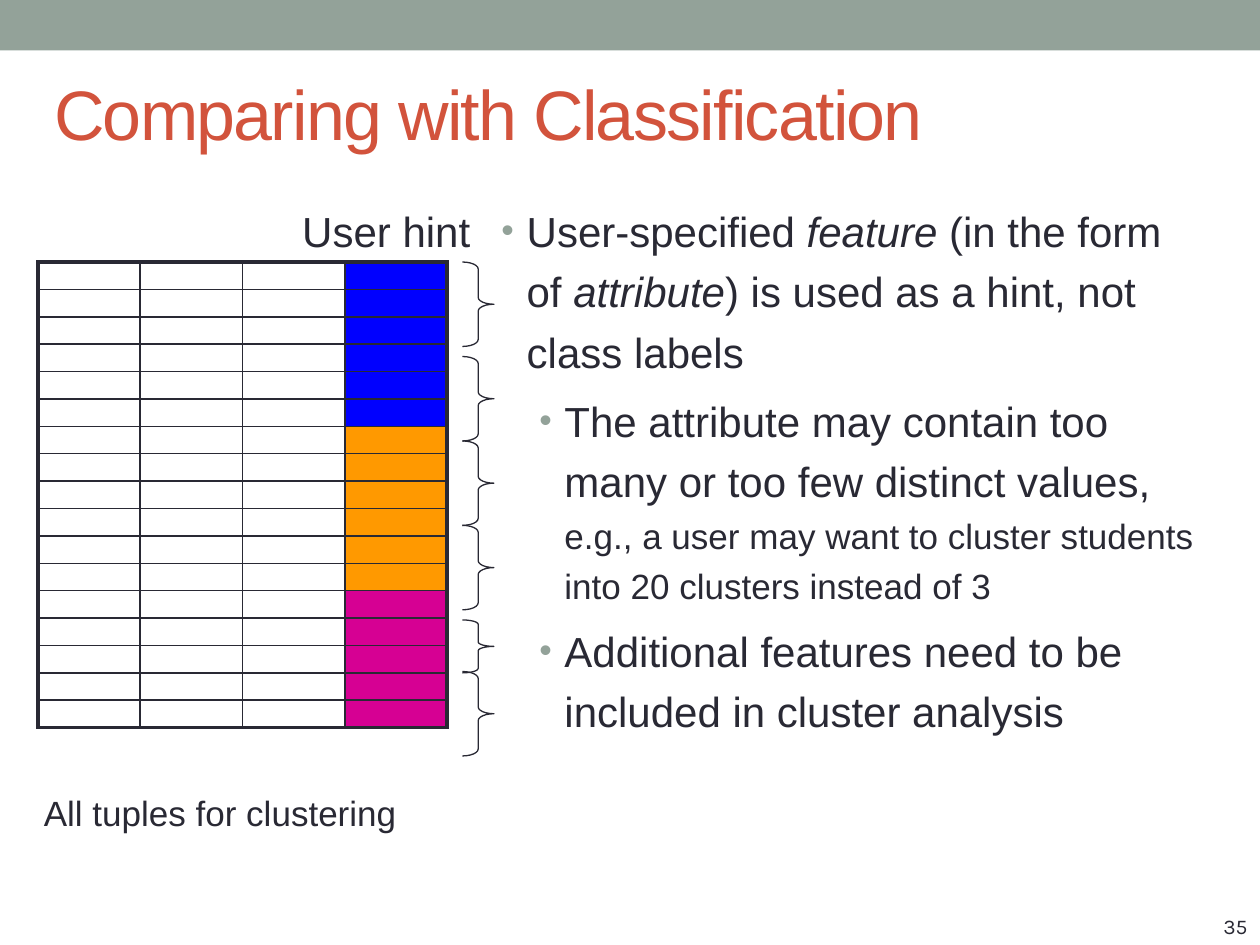
from lxml import etree
from pptx import Presentation
from pptx import util as u
from pptx.dml.color import RGBColor
from pptx.enum import shapes, text
from pptx.oxml import ns

HUES = {
    "ink": "292934", "sage": "93A299", "rust": "D2533C",
    "blue": "0000FF", "gold": "FF9900", "pink": "D60093",
}


class Deck:
    """Holds the style and the current slide, and draws each kind of element."""

    def __init__(self, face="Arial"):
        self.face = face
        self.prs = Presentation()
        self.prs.slide_width, self.prs.slide_height = u.Inches(10), u.Inches(7.5)
        self.slide = self.prs.slides.add_slide(self.prs.slide_layouts[1])

    def hue(self, name):
        return RGBColor.from_string(HUES[name])

    def box(self, at):
        return [u.Inches(n) for n in at]

    def sub(self, node, tag, **attrs):
        return etree.SubElement(node, ns.qn(tag), **attrs)

    def font(self, font, size, hue="ink", face=None):
        font.name, font.size = face or self.face, u.Pt(size)
        font.color.rgb = self.hue(hue)

    def place(self, item, at):
        item.left, item.top, item.width, item.height = self.box(at)
        frame = item.text_frame
        frame.word_wrap, frame.auto_size = True, text.MSO_AUTO_SIZE.NONE
        return frame

    def title(self, words, at):
        frame = self.place(self.slide.shapes.title, at)
        frame.vertical_anchor = text.MSO_ANCHOR.MIDDLE
        para = frame.paragraphs[0]
        para.text, para.alignment = words, text.PP_ALIGN.LEFT
        self.font(para.font, 40, "rust")
        para.runs[0]._r.get_or_add_rPr().set("spc", "-100")

    def body(self, items, at):
        frame = self.place(self.slide.placeholders[1], at)
        for n, (level, runs) in enumerate(items):
            para = frame.add_paragraph() if n else frame.paragraphs[0]
            para.level, para.line_spacing = level, 1.2
            para.space_before = u.Pt(4.8)
            props = para._p.get_or_add_pPr()
            props.set("marL", str(u.Inches(0.2 + 0.3 * level)))
            props.set("indent", str(u.Inches(-0.2)))
            tint = self.sub(props, "a:buClr")
            self.sub(tint, "a:srgbClr", val=HUES["sage"])
            self.sub(props, "a:buSzPct", val="85000")
            self.sub(props, "a:buFont", typeface=self.face)
            self.sub(props, "a:buChar", char="•")
            for words, size, slant in runs:
                run = para.add_run()
                run.text = words
                self.font(run.font, size)
                run.font.italic = slant

    def label(self, words, at, size, face=None, align=text.PP_ALIGN.LEFT,
              anchor=text.MSO_ANCHOR.TOP):
        frame = self.place(self.slide.shapes.add_textbox(*self.box(at)), at)
        frame.vertical_anchor = anchor
        para = frame.paragraphs[0]
        para.text, para.alignment = words, align
        self.font(para.font, size, face=face)

    def band(self, at, hue):
        item = self.slide.shapes.add_shape(shapes.MSO_SHAPE.RECTANGLE, *self.box(at))
        item.shadow.inherit = False
        item.fill.solid()
        item.fill.fore_color.rgb = self.hue(hue)
        item.line.fill.background()

    def brace(self, at, bend):
        item = self.slide.shapes.add_shape(shapes.MSO_SHAPE.RIGHT_BRACE, *self.box(at))
        item.shadow.inherit = False
        item.adjustments[0] = bend
        item.fill.background()
        item.line.color.rgb = self.hue("ink")
        item.line.width = u.Pt(0.75)

    def edge(self, cell, side, width):
        line = self.sub(cell._tc.get_or_add_tcPr(), "a:ln" + side, w=str(u.Pt(width)))
        fill = self.sub(line, "a:solidFill")
        self.sub(fill, "a:srgbClr", val=HUES["ink"])

    def grid(self, hues, cols, at):
        rows = len(hues)
        table = self.slide.shapes.add_table(rows, cols, *self.box(at)).table
        table.first_row = table.horz_banding = False
        for col in table.columns:
            col.width = u.Inches(at[2] / cols)
        for r, hue in enumerate(hues):
            table.rows[r].height = u.Inches(at[3] / rows)
            for c in range(cols):
                cell = table.cell(r, c)
                cell.margin_top = cell.margin_bottom = 0
                self.sub(cell.text_frame.paragraphs[0]._p, "a:endParaRPr", sz="800")
                rims = {"L": c == 0, "R": c == cols - 1, "T": r == 0, "B": r == rows - 1}
                for side, rim in rims.items():
                    self.edge(cell, side, 2.25 if rim else 1)
                if c == cols - 1:
                    cell.fill.solid()
                    cell.fill.fore_color.rgb = self.hue(hue)
                else:
                    cell.fill.background()


def main():
    deck = Deck()
    deck.band((0, 0, 10, 0.4), "sage")
    deck.label("35", (7.92, 7.08, 2.08, 0.42), 12, "Karla",
               text.PP_ALIGN.RIGHT, text.MSO_ANCHOR.BOTTOM)
    deck.title("Comparing with Classification", (0.33, 0.35, 9, 1.08))
    deck.body([
        (0, [("User-specified ", 24, False), ("feature ", 24, True),
             ("(in the form of ", 24, False), ("attribute", 24, True),
             (") is used as a hint, not class labels", 24, False)]),
        (1, [("The attribute may contain too many or too few distinct values, ", 24, False),
             ("e.g., a user may want to cluster students into 20 clusters instead of 3",
              20, False)]),
        (1, [("Additional features need to be included in cluster analysis", 24, False)]),
    ], (3.88, 1.5, 5.79, 5.58))
    deck.grid(["blue"] * 6 + ["gold"] * 6 + ["pink"] * 5, 4, (0.3, 2.08, 3.25, 3.7))
    deck.label("All tuples for clustering", (0.25, 6.23, 3.33, 0.43), 20)
    deck.label("User hint", (2.3, 1.58, 1.75, 0.5), 24)
    for top in (2.08, 2.83, 3.5, 4.17, 5.33):
        deck.brace((3.67, top, 0.25, 0.67), 0.22)
    deck.brace((3.67, 4.92, 0.25, 0.42), 0.14)
    deck.prs.save("out.pptx")


if __name__ == "__main__":
    main()
